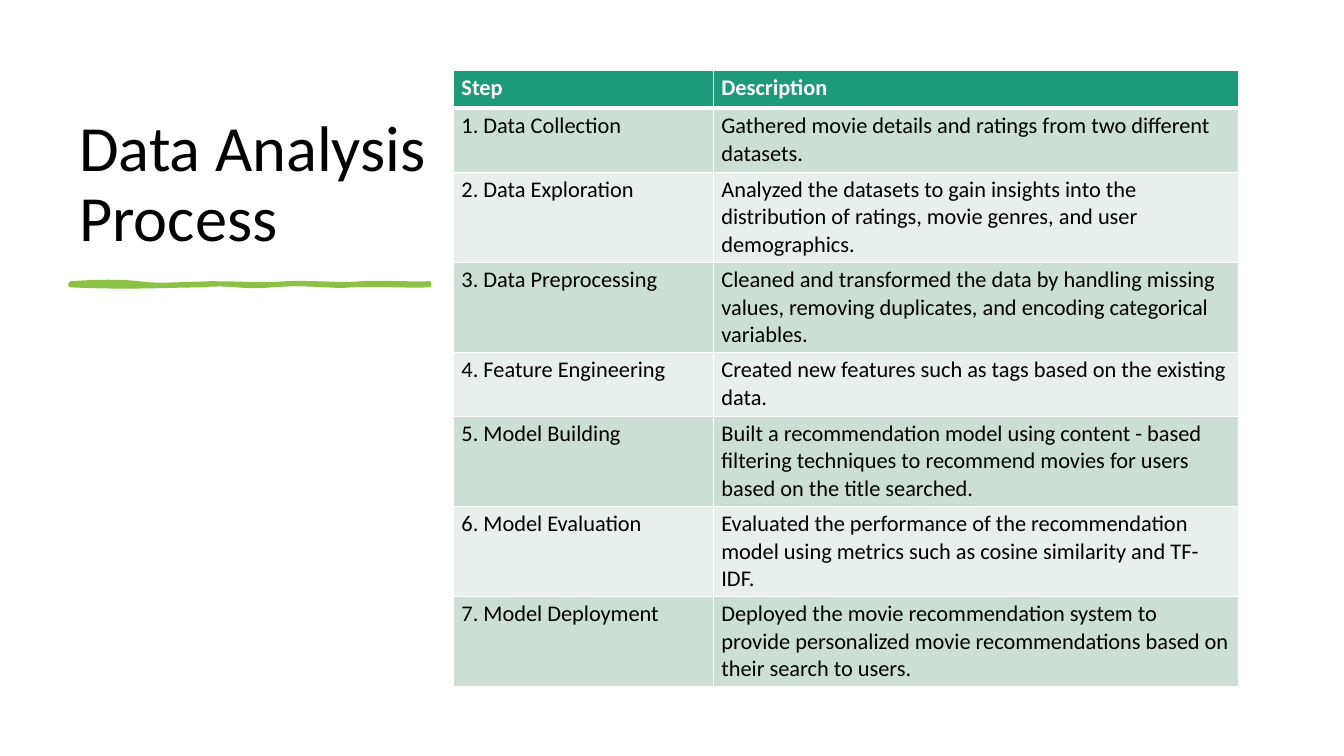
from lxml import etree
from pptx import Presentation
from pptx.dml.color import RGBColor
from pptx.enum import text
from pptx.oxml import ns
from pptx.util import Cm, Pt

# Content
TITLE = "Data Analysis Process"
HEADER = ("Step", "Description", 1)
STEPS = [  # step, description, lines of text
    ("1. Data Collection",
     "Gathered movie details and ratings from two different datasets.", 2),
    ("2. Data Exploration",
     "Analyzed the datasets to gain insights into the distribution of ratings, "
     "movie genres, and user demographics.", 3),
    ("3. Data Preprocessing",
     "Cleaned and transformed the data by handling missing values, removing "
     "duplicates, and encoding categorical variables.", 3),
    ("4. Feature Engineering",
     "Created new features such as tags based on the existing data.", 2),
    ("5. Model Building",
     "Built a recommendation model using content - based filtering techniques "
     "to recommend movies for users based on the title searched.", 3),
    ("6. Model Evaluation",
     "Evaluated the performance of the recommendation model using metrics such "
     "as cosine similarity and TF-IDF.", 3),
    ("7. Model Deployment",
     "Deployed the movie recommendation system to provide personalized movie "
     "recommendations based on their search to users.", 3),
]

# Hand-drawn rule under the title: Bézier points in cm, three per curve
BRUSH_TOP = [
    (1.78, 7.14), (2.46, 7.09), (3.07, 7.09), (3.51, 7.14), (3.94, 7.21),
    (4.5, 7.16), (5.31, 7.14), (6.12, 7.14), (6.6, 7.19), (7.21, 7.14),
    (7.82, 7.11), (8.61, 7.19), (9.12, 7.14), (9.63, 7.11), (10.46, 7.16),
    (10.82, 7.14),
]
BRUSH_BOTTOM = [
    (10.82, 7.19), (10.36, 7.21), (9.25, 7.16), (8.84, 7.19), (8.43, 7.24),
    (7.72, 7.11), (6.86, 7.19), (5.97, 7.26), (5.87, 7.11), (5.05, 7.19),
    (4.22, 7.19), (3.35, 7.26), (1.78, 7.19),
]

THEME = {
    "font": "Calibri", "title_size": 46, "table_size": 16,
    "text": "000000", "white": "FFFFFF", "brush": "8BC145",
    "header": "1D9A78", "bands": ("CDDED6", "E8EFEC"),
}
TABLE_LEFT, TABLE_TOP = 11.43, 1.78
COL_WIDTHS = (6.55, 13.23)
LINE_HEIGHT, ROW_PADDING = 0.66, 0.29
CURVE_STEPS = 8


def rgb(name):
    return RGBColor.from_string(THEME.get(name, name))


def add_run(p, words, size, color, bold=False):
    r = p.add_run()
    r.text = words
    r.font.name = THEME["font"]
    r.font.size = Pt(THEME[size])
    r.font.color.rgb = rgb(color)
    r.font.bold = bold


def sample_curves(points):
    """Turn chained cubic curves into points along them."""
    result = [points[0]]
    for i in range(0, len(points) - 1, 3):
        for k in range(1, CURVE_STEPS + 1):
            t = k / CURVE_STEPS
            weights = ((1 - t) ** 3, 3 * t * (1 - t) ** 2,
                       3 * t ** 2 * (1 - t), t ** 3)
            result.append(tuple(
                sum(w * pt[axis] for w, pt in zip(weights, points[i:i + 4]))
                for axis in (0, 1)))
    return result


def set_borders(cell, widths):
    """Draw white borders; widths are points for left, right, top, bottom."""
    tc_pr = cell._tc.get_or_add_tcPr()
    for i, (side, width) in enumerate(zip("LRTB", widths)):
        ln = etree.Element(ns.qn(f"a:ln{side}"), w=str(Pt(width)))
        fill = etree.SubElement(ln, ns.qn("a:solidFill"))
        etree.SubElement(fill, ns.qn("a:srgbClr"), val=THEME["white"])
        tc_pr.insert(i, ln)


def add_title(slide):
    sp = slide.shapes.add_textbox(Cm(1.75), Cm(1.78), Cm(9.53), Cm(4.78))
    tf = sp.text_frame
    tf.word_wrap = True
    tf.vertical_anchor = text.MSO_ANCHOR.BOTTOM
    p = tf.paragraphs[0]
    p.line_spacing = 0.9
    add_run(p, TITLE, "title_size", "text")


def add_brush(slide):
    points = [(Cm(x), Cm(y))
              for x, y in sample_curves(BRUSH_TOP) + sample_curves(BRUSH_BOTTOM)]
    builder = slide.shapes.build_freeform(*points[0])
    builder.add_line_segments(points[1:], close=True)
    sp = builder.convert_to_shape()
    sp.shadow.inherit = False
    sp.fill.solid()
    sp.fill.fore_color.rgb = rgb("brush")
    sp.line.color.rgb = rgb("brush")
    sp.line.width = Pt(3)
    etree.SubElement(sp.line._get_or_add_ln(), ns.qn("a:round"))


def add_steps(slide):
    rows = [HEADER] + STEPS
    heights = [ROW_PADDING + LINE_HEIGHT * lines for _, _, lines in rows]
    table = slide.shapes.add_table(
        len(rows), len(COL_WIDTHS), Cm(TABLE_LEFT), Cm(TABLE_TOP),
        Cm(sum(COL_WIDTHS)), Cm(sum(heights))).table
    for col, width in zip(table.columns, COL_WIDTHS):
        col.width = Cm(width)
    for i, (step, description, _) in enumerate(rows):
        table.rows[i].height = Cm(heights[i])
        head = i == 0
        for j, words in enumerate((step, description)):
            cell = table.cell(i, j)
            cell.margin_left = cell.margin_right = Cm(0.2)
            cell.margin_top = cell.margin_bottom = Cm(0.1)
            cell.fill.solid()
            cell.fill.fore_color.rgb = rgb(
                "header" if head else THEME["bands"][(i - 1) % 2])
            set_borders(cell, (1, 1, 3 if i == 1 else 1, 3 if head else 1))
            add_run(cell.text_frame.paragraphs[0], words, "table_size",
                    "white" if head else "text", head)


def main():
    prs = Presentation()
    prs.slide_width, prs.slide_height = Cm(33.87), Cm(19.05)
    slide = prs.slides.add_slide(prs.slide_layouts[6])
    add_title(slide)
    add_brush(slide)
    add_steps(slide)
    prs.save("out.pptx")


if __name__ == "__main__":
    main()
